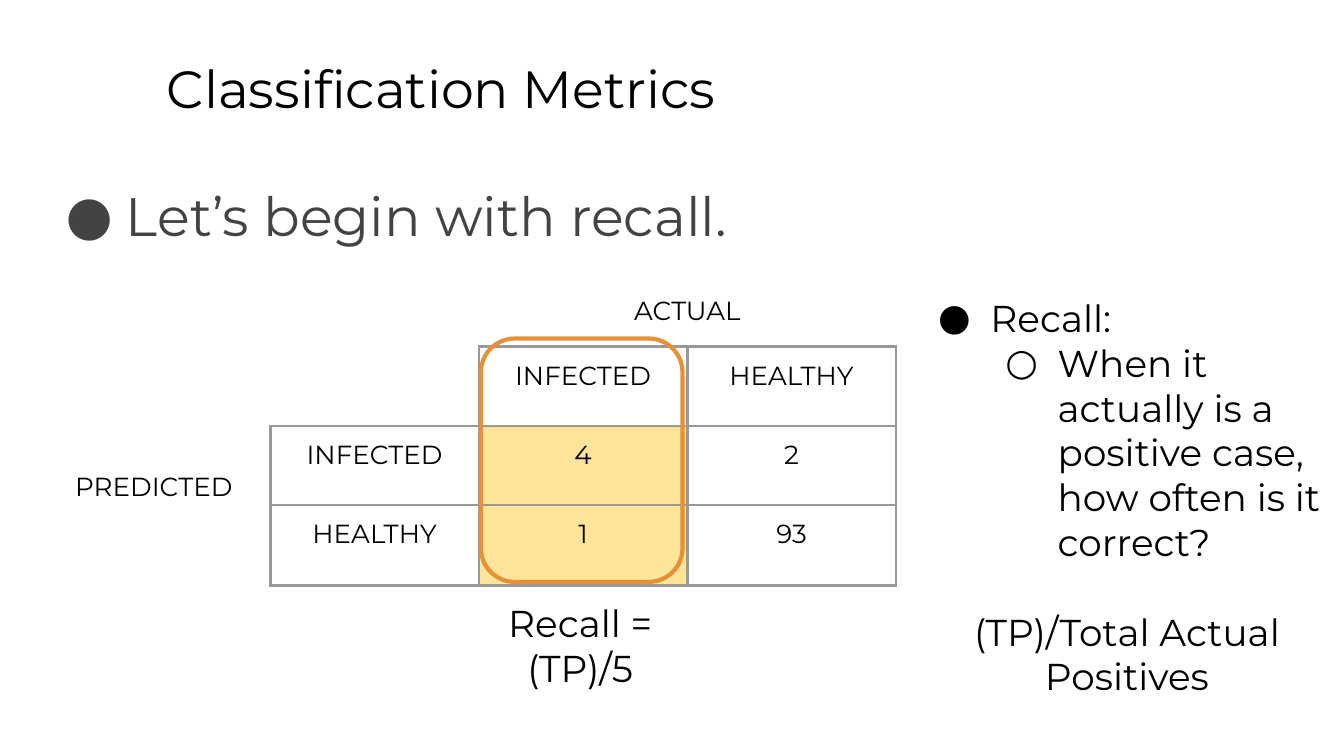
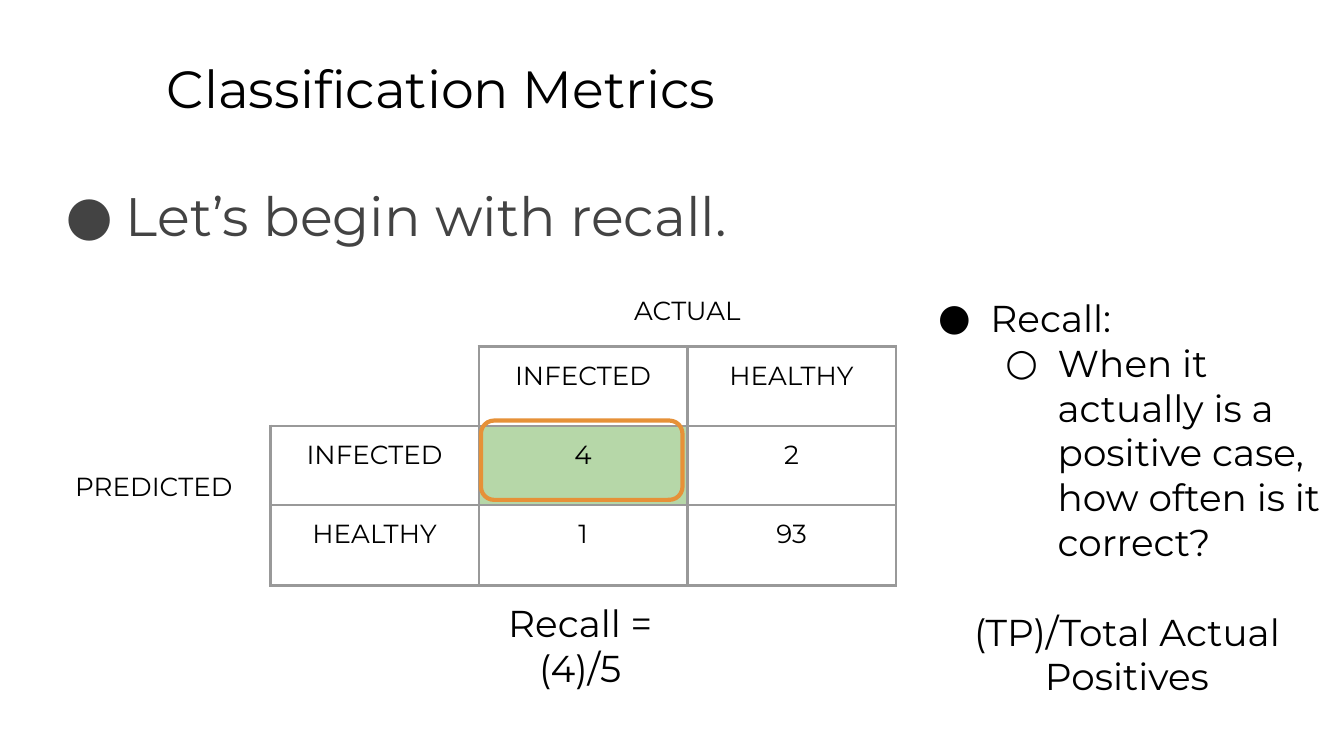
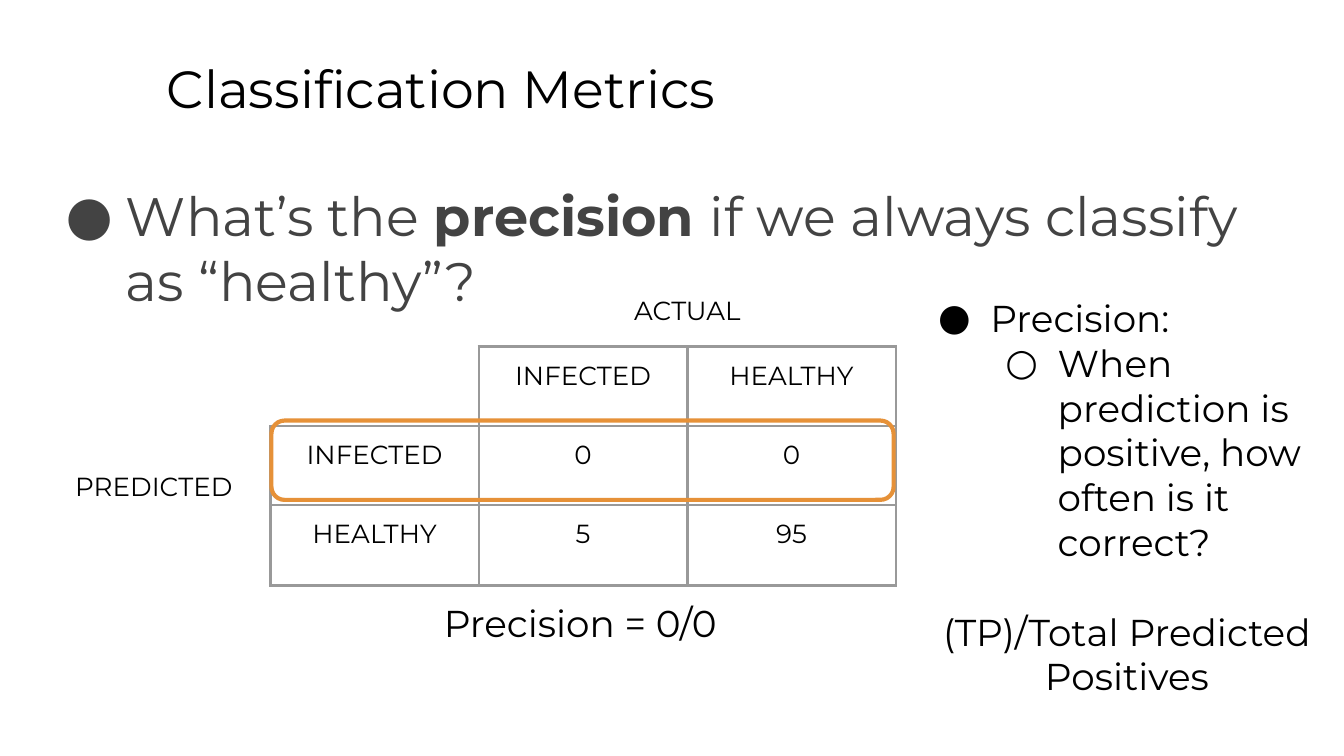
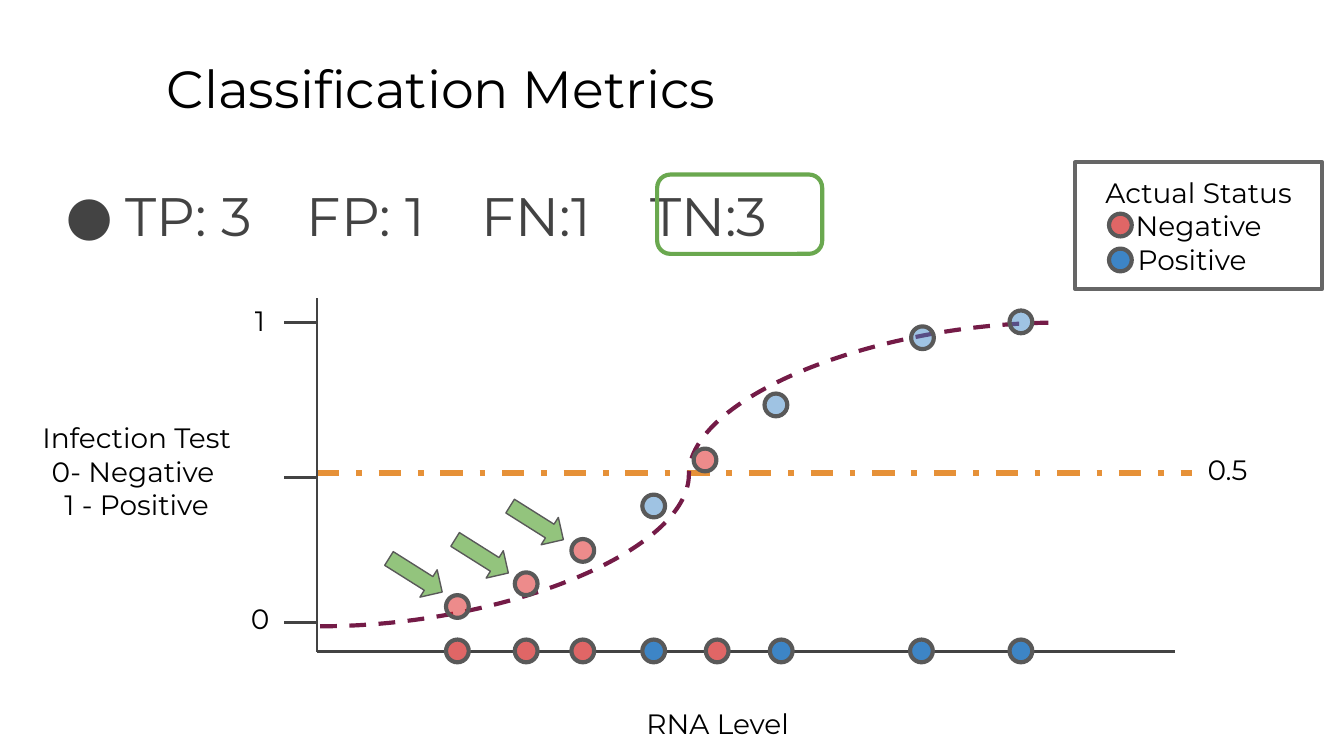
"""Build four slides on classification metrics: recall, precision and a test curve."""
from dataclasses import dataclass
from typing import NamedTuple, Optional

from lxml.etree import SubElement
from pptx import Presentation
from pptx.dml.color import RGBColor
from pptx.enum.dml import MSO_LINE_DASH_STYLE as Dash
from pptx.enum.shapes import MSO_CONNECTOR as Link, MSO_SHAPE as Preset
from pptx.enum.text import PP_ALIGN as Align
from pptx.oxml.ns import qn
from pptx.util import Cm, Pt

FONT = "Montserrat"
BLACK = RGBColor(0x00, 0x00, 0x00)
DARK_GRAY = RGBColor(0x43, 0x43, 0x43)
OUTLINE_GRAY = RGBColor(0x59, 0x59, 0x59)
LEGEND_GRAY = RGBColor(0x66, 0x66, 0x66)
GRID_GRAY = RGBColor(0x99, 0x99, 0x99)
ORANGE = RGBColor(0xE6, 0x91, 0x38)
YELLOW = RGBColor(0xFF, 0xE5, 0x99)
PALE_GREEN = RGBColor(0xB6, 0xD7, 0xA8)
ARROW_GREEN = RGBColor(0x93, 0xC4, 0x7D)
GREEN = RGBColor(0x6A, 0xA8, 0x4F)
PLUM = RGBColor(0x74, 0x1B, 0x47)
RED = RGBColor(0xE0, 0x66, 0x66)
BRIGHT_RED = RGBColor(0xDE, 0x22, 0x22)
BLUE = RGBColor(0x3D, 0x85, 0xC6)

INSET = 0.25
DOT = 0.43
AXIS_LEFT, AXIS_TOP, AXIS_BOTTOM, AXIS_RIGHT = 5.99, 5.64, 12.32, 22.2
TICK_LEFT = 5.36
COUNT_STOPS = (3.42, 4.69, 6.73, 7.99, 9.91, 11.18)
COLUMN_WIDTH = 3.94
ROW_HEIGHTS = (1.22, 1.5, 1.5, 1.52)
GRID = {(1, 2), (1, 3), *((row, column) for row in (2, 3) for column in (1, 2, 3))}
SIDES = {"lnL": (0, -1), "lnR": (0, 1), "lnT": (-1, 0), "lnB": (1, 0)}


class Area(NamedTuple):
    """A rectangle in centimetres."""
    left: float
    top: float
    width: float
    height: float

    def lengths(self) -> tuple:
        """Return the four sides as lengths."""
        return tuple(Cm(side) for side in self)


class Sample(NamedTuple):
    """One tested person, on the axis and near the curve."""
    positive: bool
    axis_left: float
    test_left: float
    test_top: float


@dataclass(frozen=True)
class MatrixPage:
    """The content of a confusion matrix slide."""
    lead: str
    counts: tuple
    shaded: dict
    term: str
    meaning: str
    ratio: str
    formula: tuple
    ring: Area


RECALL = ("Recall:", "When it actually is a positive case, how often is it correct?",
          "(TP)/Total Actual Positives")
MATRIX_PAGES = (
    MatrixPage("Let’s begin with recall.", (("4", "2"), ("1", "93")),
               {(2, 2): YELLOW, (3, 2): YELLOW}, *RECALL,
               ("Recall = ", "(TP)/5 "), Area(9.09, 6.4, 3.81, 4.6)),
    MatrixPage("Let’s begin with recall.", (("4", "2"), ("1", "93")),
               {(2, 2): PALE_GREEN}, *RECALL,
               ("Recall = ", "(4)/5 "), Area(9.09, 7.95, 3.81, 1.5)),
    MatrixPage("What’s the *precision *if we always classify as “healthy”?",
               (("0", "0"), ("5", "95")), {}, "Precision:",
               "When prediction is positive, how often is it correct?",
               "(TP)/Total Predicted Positives",
               ("Precision = 0/0 ",), Area(5.13, 7.95, 11.76, 1.5)),
)
SAMPLES = (
    Sample(False, 8.43, 8.43, 11.25),
    Sample(False, 9.73, 9.73, 10.82),
    Sample(False, 10.8, 10.8, 10.19),
    Sample(True, 12.14, 12.14, 9.35),
    Sample(False, 13.34, 13.11, 8.48),
    Sample(True, 14.55, 14.45, 7.44),
    Sample(True, 17.2, 17.22, 6.17),
    Sample(True, 19.08, 19.08, 5.87),
)
ARROW_CORNERS = ((7.26, 10.57), (8.51, 10.21), (9.55, 9.58))


def set_insets(holder) -> None:
    """Give a text frame or a cell the same inset on each side."""
    holder.margin_left = holder.margin_right = Cm(INSET)
    holder.margin_top = holder.margin_bottom = Cm(INSET)


def add_para(frame, text: str, *, size: float = 15, color: RGBColor = BLACK,
             align: Optional[Align] = None, bullet: str = "", level: int = 0,
             margin: float = 0, hang: float = 0, before: float = 0,
             stops: tuple = ()) -> None:
    """Write a paragraph in a frame, with the parts between asterisks in bold."""
    para = frame.paragraphs[0]
    if para.runs:
        para = frame.add_paragraph()
    if align is not None:
        para.alignment = align
    para.level = level
    if before:
        para.space_before = Pt(before)
    properties = para._p.get_or_add_pPr()
    properties.set("marL", str(Cm(margin)))
    properties.set("indent", str(-Cm(hang)))
    if bullet:
        tint = SubElement(properties, qn("a:buClr"))
        SubElement(tint, qn("a:srgbClr"), val=str(color))
        SubElement(properties, qn("a:buFont"), typeface=FONT)
        SubElement(properties, qn("a:buChar"), char=bullet)
    if stops:
        tabs = SubElement(properties, qn("a:tabLst"))
        for stop in stops:
            SubElement(tabs, qn("a:tab"), pos=str(Cm(stop)), algn="l")
    for index, piece in enumerate(text.split("*")):
        span = para.add_run()
        span.text = piece
        span.font.name, span.font.size = FONT, Pt(size)
        span.font.bold = index % 2 == 1
        span.font.color.rgb = color


def add_box(page, area: Area, *lines: str, **style):
    """Add a wrapped text box with its lines and return its frame."""
    frame = page.shapes.add_textbox(*area.lengths()).text_frame
    frame.word_wrap = True
    set_insets(frame)
    for line in lines:
        add_para(frame, line, **style)
    return frame


def add_figure(page, preset: Preset, area: Area, line: RGBColor, *,
               fill: Optional[RGBColor] = None, weight: float = 2.25,
               opacity: int = 100):
    """Add a preset shape with an outline and an optional fill."""
    shape = page.shapes.add_shape(preset, *area.lengths())
    shape.shadow.inherit = False
    if fill is None:
        shape.fill.background()
    else:
        shape.fill.solid()
        shape.fill.fore_color.rgb = fill
    if opacity < 100:
        tint = shape.element.find(".//" + qn("a:srgbClr"))
        SubElement(tint, qn("a:alpha"), val=str(opacity * 1000))
    shape.line.color.rgb = line
    shape.line.width = Pt(weight)
    return shape


def add_dot(page, left: float, top: float, fill: RGBColor, opacity: int = 100) -> None:
    """Add a round marker."""
    add_figure(page, Preset.OVAL, Area(left, top, DOT, DOT), OUTLINE_GRAY,
               fill=fill, opacity=opacity)


def add_line(page, start: tuple, end: tuple, color: RGBColor = DARK_GRAY, *,
             weight: float = 1.5, dash: Optional[Dash] = None,
             kind: Link = Link.STRAIGHT) -> None:
    """Add a connector between two points."""
    line = page.shapes.add_connector(kind, *(Cm(value) for value in (*start, *end)))
    line.line.color.rgb = color
    line.line.width = Pt(weight)
    if dash is not None:
        line.line.dash_style = dash
    SubElement(line.element.spPr, qn("a:effectLst"))


def add_page(deck, lead: str, stops: tuple = ()):
    """Add a slide with the shared title and its leading bullet."""
    page = deck.slides.add_slide(deck.slide_layouts[6])
    add_box(page, Area(2.9, 0.81, 21.64, 1.6), "Classification Metrics", size=28)
    add_box(page, Area(0.86, 3.2, 24.13, 9.5), lead, size=29, color=DARK_GRAY,
            bullet="●", margin=1.27, hang=1.14, stops=stops)
    return page


def draw_borders(cell, row: int, column: int) -> None:
    """Draw the sides of a cell that touch the matrix grid."""
    properties = cell._tc.get_or_add_tcPr()
    for tag, (down, across) in SIDES.items():
        edge = SubElement(properties, qn(f"a:{tag}"), w=str(Pt(1.5)))
        if GRID & {(row, column), (row + down, column + across)}:
            paint = SubElement(edge, qn("a:solidFill"))
            SubElement(paint, qn("a:srgbClr"), val=str(GRID_GRAY))
        else:
            SubElement(edge, qn("a:noFill"))


def add_matrix(page, counts: tuple, shaded: dict) -> None:
    """Add the confusion matrix table."""
    area = Area(1.17, 5.33, 4 * COLUMN_WIDTH, sum(ROW_HEIGHTS))
    table = page.shapes.add_table(4, 4, *area.lengths()).table
    table.first_row = table.horz_banding = False
    for column in table.columns:
        column.width = Cm(COLUMN_WIDTH)
    for row, height in zip(table.rows, ROW_HEIGHTS):
        row.height = Cm(height)
    words = (("", "", "ACTUAL", ""),
             ("", "", "INFECTED", "HEALTHY"),
             ("PREDICTED", "INFECTED", *counts[0]),
             ("", "HEALTHY", *counts[1]))
    for row, line in enumerate(words):
        for column, word in enumerate(line):
            cell = table.cell(row, column)
            set_insets(cell)
            draw_borders(cell, row, column)
            if (row, column) in shaded:
                cell.fill.solid()
                cell.fill.fore_color.rgb = shaded[row, column]
            else:
                cell.fill.background()
            if word:
                add_para(cell.text_frame, word, size=14,
                         align=Align.CENTER if column else Align.LEFT)
            else:
                cell.text_frame.paragraphs[0].font.size = Pt(14)
    table.cell(0, 2).merge(table.cell(0, 3))
    table.cell(2, 0).merge(table.cell(3, 0))
    table.cell(2, 0).margin_top = Cm(0.86)


def build_matrix_page(deck, content: MatrixPage) -> None:
    """Build a slide with a confusion matrix and a definition."""
    page = add_page(deck, content.lead)
    add_matrix(page, content.counts, content.shaded)
    frame = add_box(page, Area(17.2, 5.33, 8.2, 8.36))
    add_para(frame, content.term, size=20, bullet="●", margin=1.27, hang=0.99)
    add_para(frame, content.meaning, size=20, bullet="○", level=1, margin=2.54, hang=0.99)
    add_para(frame, content.ratio, size=20, align=Align.CENTER, before=24)
    add_box(page, Area(5.13, 11.1, 11.86, 2.39), *content.formula,
            size=20, align=Align.CENTER)
    add_figure(page, Preset.ROUNDED_RECTANGLE, content.ring, ORANGE)


def add_legend(page) -> None:
    """Add the legend of the actual status."""
    legend = add_figure(page, Preset.RECTANGLE, Area(20.32, 3.07, 4.67, 2.39), LEGEND_GRAY)
    frame = legend.text_frame
    frame.word_wrap = True
    set_insets(frame)
    add_para(frame, "Actual Status", align=Align.CENTER)
    add_para(frame, "Negative", align=Align.CENTER)
    add_para(frame, "Positive", align=Align.LEFT, margin=0.93)
    add_dot(page, 20.96, 4.7, BLUE)
    add_dot(page, 20.96, 4.04, RED)


def build_curve_page(deck) -> None:
    """Build the slide with the test curve and its threshold."""
    page = add_page(deck, "TP: 3\tFP: 1\tFN:1\tTN:3", COUNT_STOPS)
    add_line(page, (AXIS_LEFT, 8.94), (22.53, 8.94), ORANGE, weight=3, dash=Dash.DASH_DOT)
    add_line(page, (AXIS_LEFT, AXIS_TOP), (AXIS_LEFT, AXIS_BOTTOM))
    add_line(page, (AXIS_RIGHT, AXIS_BOTTOM), (AXIS_LEFT, AXIS_BOTTOM))
    for height in (6.1, 9.02, 11.76):
        add_line(page, (AXIS_LEFT, height), (TICK_LEFT, height))
    add_line(page, (6.05, 11.84), (19.99, 6.1), PLUM, weight=2.25, dash=Dash.DASH,
             kind=Link.CURVE)
    for sample in SAMPLES:
        add_dot(page, sample.axis_left, 12.09, BLUE if sample.positive else RED)
        add_dot(page, sample.test_left, sample.test_top,
                BLUE if sample.positive else BRIGHT_RED, 49 if sample.positive else 52)
    labels = (
        (Area(4.47, 11.13, 0.89, 0.86), ("0",)),
        (Area(4.47, 5.49, 0.89, 0.86), ("1",)),
        (Area(22.4, 8.31, 1.6, 0.86), ("0.5",)),
        (Area(0.25, 7.7, 4.67, 2.08), ("Infection Test", "0- Negative ", "1 - Positive")),
        (Area(11.56, 13.11, 4.01, 1.22), ("RNA Level",)),
    )
    for area, lines in labels:
        add_box(page, area, *lines, align=Align.CENTER)
    add_legend(page)
    for left, top in ARROW_CORNERS:
        arrow = add_figure(page, Preset.RIGHT_ARROW, Area(left, top, 1.19, 0.61),
                           OUTLINE_GRAY, fill=ARROW_GREEN, weight=0.75)
        arrow.rotation = 32.2
    add_figure(page, Preset.ROUNDED_RECTANGLE, Area(12.42, 3.3, 3.12, 1.5), GREEN)


def main() -> None:
    """Build the deck and save it."""
    deck = Presentation()
    deck.slide_width, deck.slide_height = Cm(25.4), Cm(14.29)
    for content in MATRIX_PAGES:
        build_matrix_page(deck, content)
    build_curve_page(deck)
    deck.save("out.pptx")


if __name__ == "__main__":
    main()
